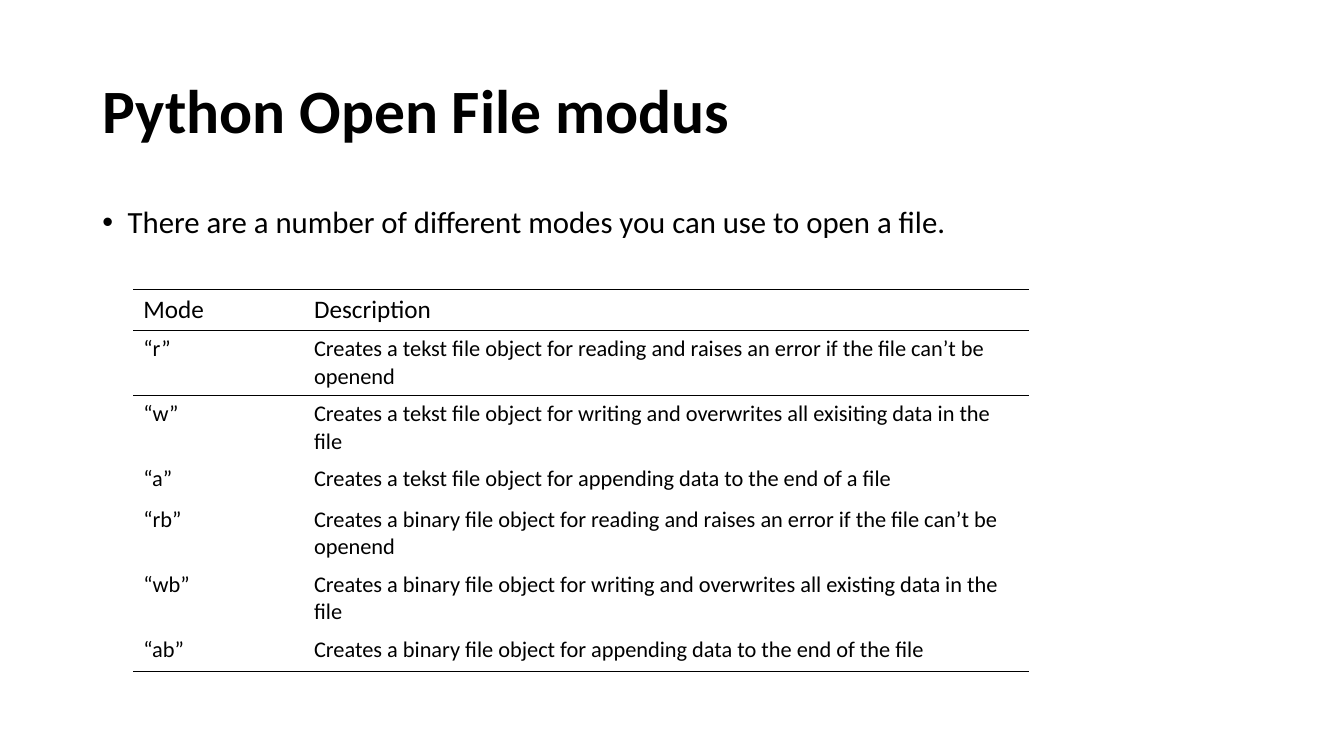
from lxml.etree import SubElement
from pptx import Presentation
from pptx.dml.color import RGBColor
from pptx.enum.text import MSO_ANCHOR, MSO_AUTO_SIZE, PP_ALIGN
from pptx.oxml.ns import qn
from pptx.util import Pt

FONT = "Calibri"
INK = "000000"
HEAD = ("Mode", "Description")
MODES = [
    ("“r”", "Creates a tekst file object for reading and raises an error if the file can’t be openend"),
    ("“w”", "Creates a tekst file object for writing and overwrites all exisiting data in the file"),
    ("“a”", "Creates a tekst file object for appending data to the end of a file"),
    ("“rb”", "Creates a binary file object for reading and raises an error if the file can’t be openend"),
    ("“wb”", "Creates a binary file object for writing and overwrites all existing data in the file"),
    ("“ab”", "Creates a binary file object for appending data to the end of the file"),
]


def color(code):
    return RGBColor.from_string(code)


def style(para, size, bold=False):
    for run in para.runs:
        run.font.name = FONT
        run.font.size = Pt(size)
        run.font.bold = bold
        run.font.color.rgb = color(INK)


def place(shape, box):
    shape.left, shape.top, shape.width, shape.height = map(Pt, box)


def fill_text(shape, box, text, size, anchor, bold=False):
    place(shape, box)
    frame = shape.text_frame
    frame.text = text
    frame.word_wrap = True
    frame.auto_size = MSO_AUTO_SIZE.NONE
    frame.vertical_anchor = anchor
    para = frame.paragraphs[0]
    para.alignment = PP_ALIGN.LEFT
    para.line_spacing = 0.9
    style(para, size, bold)
    return para


def add_title(slide, box):
    fill_text(slide.shapes.title, box, "Python Open File modus", 44,
              MSO_ANCHOR.MIDDLE, True)


def add_body(slide, box):
    para = fill_text(slide.placeholders[1], box,
                     "There are a number of different modes you can use to open a file.",
                     22, MSO_ANCHOR.TOP)
    para.space_before = Pt(10)
    # Hanging bullet
    props = para._p.get_or_add_pPr()
    props.set("marL", str(Pt(18)))
    props.set("indent", str(-Pt(18)))
    SubElement(props, qn("a:buFont"), typeface="Arial")
    SubElement(props, qn("a:buChar"), char="•")


def set_edges(cell, shown):
    props = cell._tc.get_or_add_tcPr()
    for side in "LRTB":
        if side in shown:
            line = SubElement(props, qn(f"a:ln{side}"), w=str(Pt(1)))
            paint = SubElement(line, qn("a:solidFill"))
            SubElement(paint, qn("a:srgbClr"), val=INK)
        else:
            line = SubElement(props, qn(f"a:ln{side}"), w="0")
            SubElement(line, qn("a:noFill"))


def add_modes(slide, box):
    rows = [HEAD] + MODES
    last = len(rows) - 1
    table = slide.shapes.add_table(len(rows), len(HEAD), *map(Pt, box)).table
    table.first_row = table.horz_banding = False
    table.columns[0].width = Pt(122)
    table.columns[1].width = Pt(box[2] - 122)
    for r, row in enumerate(rows):
        table.rows[r].height = Pt(box[3] / len(rows))
        # Rules around the header, under the first mode and at the foot
        shown = ("T" if r <= 2 else "") + ("B" if r <= 1 or r == last else "")
        for c, text in enumerate(row):
            cell = table.cell(r, c)
            cell.text = text
            style(cell.text_frame.paragraphs[0], 16 if r else 18)
            set_edges(cell, shown)
            cell.fill.background()


def main():
    deck = Presentation()
    deck.slide_width, deck.slide_height = Pt(960), Pt(540)
    slide = deck.slides.add_slide(deck.slide_layouts[1])
    add_title(slide, (66, 28.8, 828, 104.4))
    add_body(slide, (66, 144, 814, 270))
    add_modes(slide, (95.2, 206.8, 640, 204.4))
    deck.save("out.pptx")


if __name__ == "__main__":
    main()
